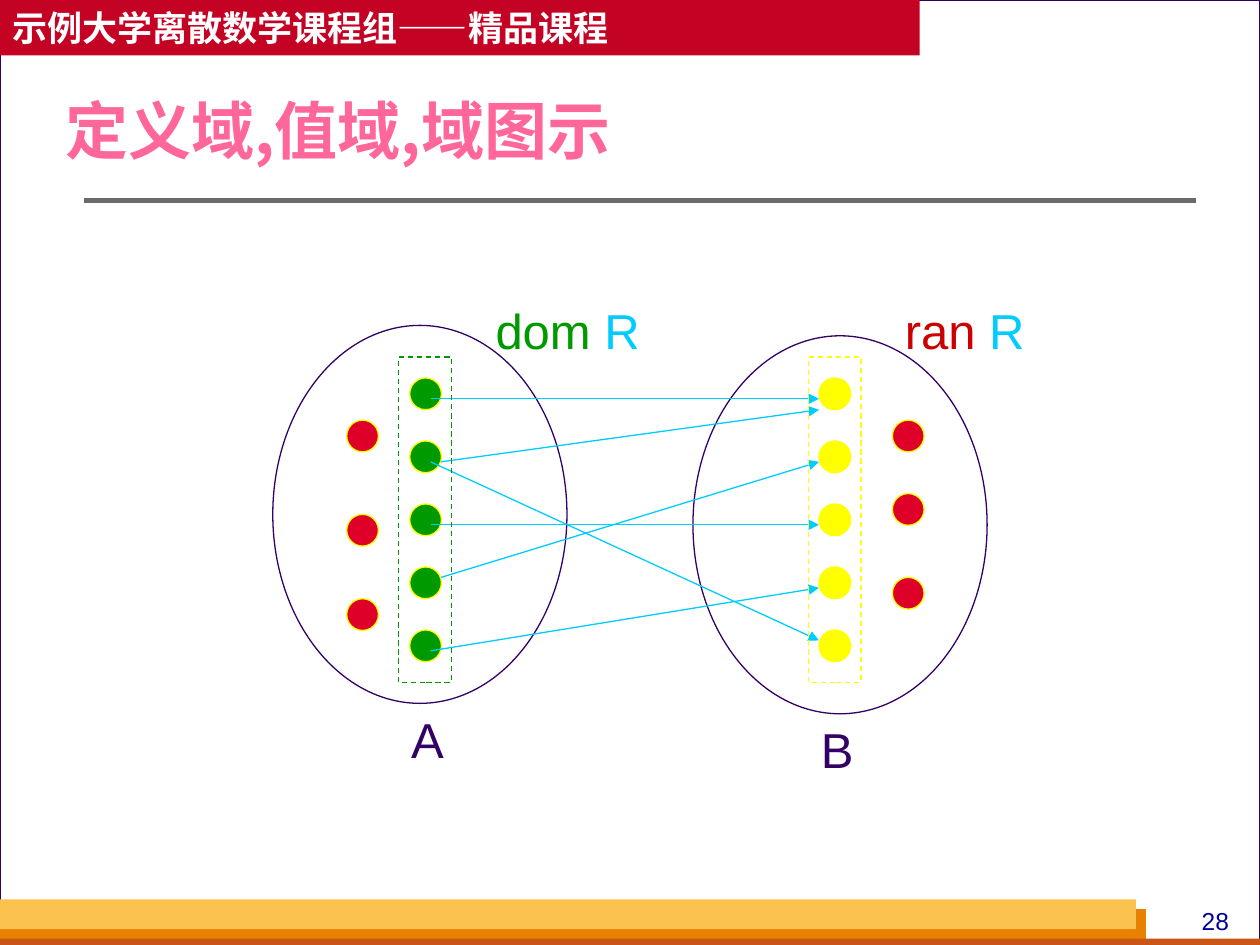
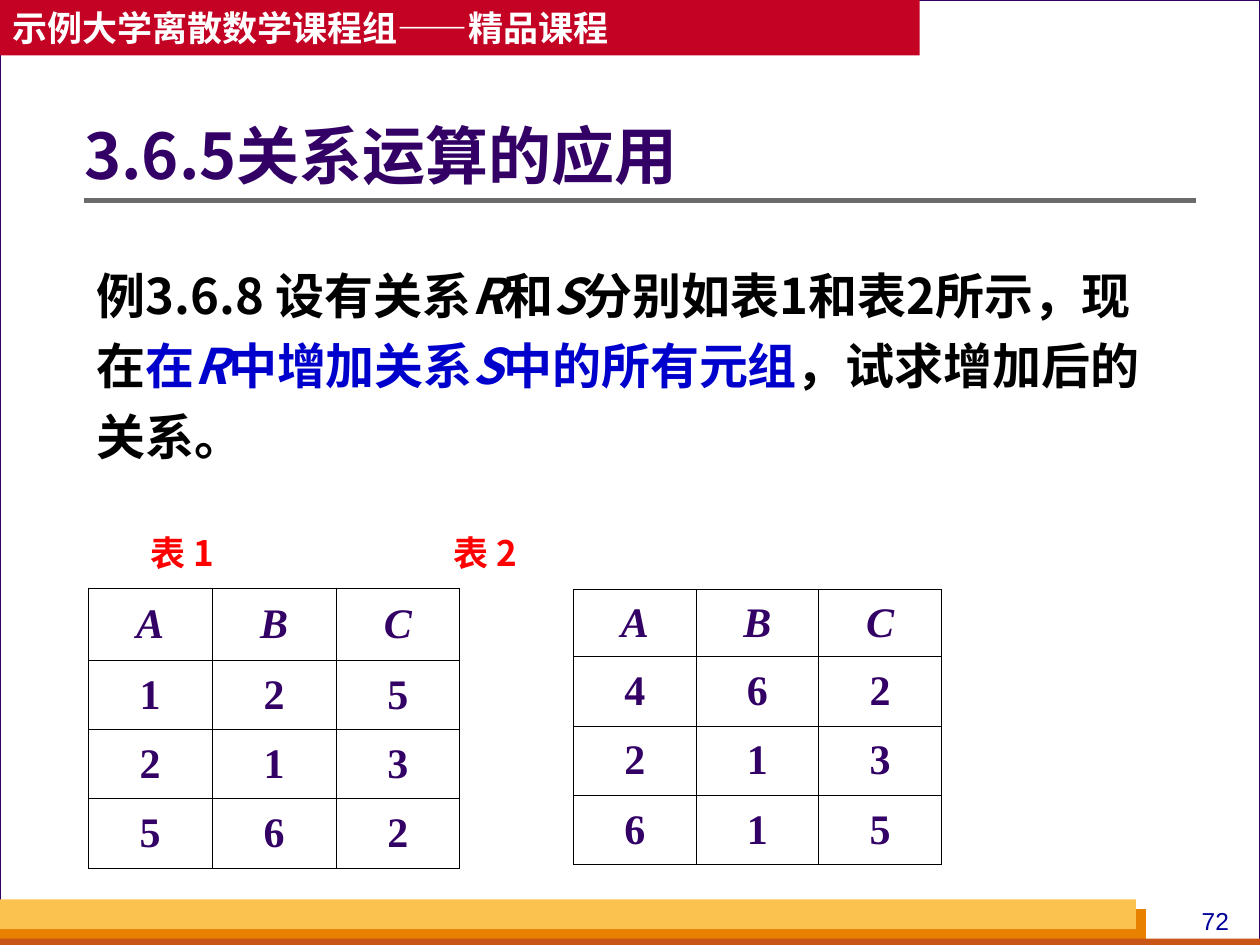
import dataclasses

import lxml.etree
import pptx
import pptx.dml.color
import pptx.enum.dml
import pptx.enum.shapes
import pptx.enum.text
import pptx.oxml.ns
import pptx.util

Cm = pptx.util.Cm
Pt = pptx.util.Pt
ALIGN = pptx.enum.text.PP_ALIGN
ANCHOR = pptx.enum.text.MSO_ANCHOR
SHAPE = pptx.enum.shapes.MSO_SHAPE
qn = pptx.oxml.ns.qn


@dataclasses.dataclass(frozen=True)
class Theme:
    backdrop: str = "D8DADA"
    white: str = "FFFFFF"
    black: str = "000000"
    ink: str = "330066"
    banner: str = "C30224"
    gold: str = "FCC24F"
    orange: str = "E88000"
    rust: str = "C95616"
    rule: str = "6B6B6B"
    page_number: str = "000099"
    pink: str = "FF6699"
    green: str = "009900"
    yellow: str = "FFFF00"
    red: str = "DF0029"
    range_red: str = "CC0000"
    cyan: str = "00CCFF"
    blue: str = "0000CC"
    caption: str = "FF0000"
    chinese_font: str = "Noto Sans CJK SC"
    label_font: str = "Arial"
    table_font: str = "Times New Roman"
    title_size: int = 36
    body_size: int = 28
    cell_size: int = 24
    small_size: int = 20
    number_size: int = 14
    thin: float = 0.75
    thick: float = 3
    border: float = 0.45


THEME = Theme()


def rgb(color):
    return pptx.dml.color.RGBColor.from_string(color)


class Deck:
    def __init__(self, theme):
        self.theme = theme
        self.presentation = pptx.Presentation()
        self.presentation.slide_width = Cm(25.4)
        self.presentation.slide_height = Cm(19.05)
        self.slide = None

    def start_slide(self, layout_index, number):
        theme = self.theme
        layout = self.presentation.slide_layouts[layout_index]
        self.slide = self.presentation.slides.add_slide(layout)
        background = self.slide.background.fill
        background.solid()
        background.fore_color.rgb = rgb(theme.backdrop)
        self.shape(SHAPE.RECTANGLE, (0, 0, 25.4, 19.05), theme.white, theme.ink)
        self.shape(SHAPE.RECTANGLE, (0, 18.33, 23.1, 0.72), theme.orange)
        self.shape(SHAPE.RECTANGLE, (0, 18.92, 25.4, 0.13), theme.rust)
        self.shape(SHAPE.RECTANGLE, (0, 18.13, 22.9, 0.6), theme.gold)
        self.label((23.7, 18.13, 1.6, 0.86), [(number, theme.page_number)],
                   theme.number_size, theme.label_font, align=ALIGN.CENTER)
        self.line((1.7, 4.04), (24.1, 4.04), theme.rule, theme.thick)
        banner = self.shape(SHAPE.RECTANGLE, (0, 0, 18.54, 1.12), theme.banner)
        banner.text_frame.vertical_anchor = ANCHOR.MIDDLE
        self.add_runs(banner.text_frame, [("示例大学离散数学课程组——精品课程", theme.white)],
                      theme.small_size, theme.chinese_font, bold=True)

    def add_runs(self, text_frame, parts, size, font, bold=False, align=ALIGN.LEFT):
        paragraph = text_frame.paragraphs[0]
        paragraph.alignment = align
        for text, color, *italic in parts:
            run = paragraph.add_run()
            run.text = text
            run.font.size = Pt(size)
            run.font.bold = bold
            run.font.italic = bool(italic)
            run.font.color.rgb = rgb(color)
            run.font.name = font
            latin = run.font._element.find(qn("a:latin"))
            east_asian = lxml.etree.Element(qn("a:ea"), typeface=font)
            latin.addnext(east_asian)
        return paragraph

    def shape(self, kind, box, fill=None, outline=None, dashed=False):
        shape = self.slide.shapes.add_shape(kind, *map(Cm, box))
        shape.shadow.inherit = False
        if fill:
            shape.fill.solid()
            shape.fill.fore_color.rgb = rgb(fill)
        else:
            shape.fill.background()
        if outline:
            shape.line.color.rgb = rgb(outline)
            shape.line.width = Pt(self.theme.thin)
        else:
            shape.line.fill.background()
        if dashed:
            shape.line.dash_style = pptx.enum.dml.MSO_LINE.DASH
        return shape

    def line(self, start, end, color, width, arrow=False):
        connector = self.slide.shapes.add_connector(
            pptx.enum.shapes.MSO_CONNECTOR.STRAIGHT, *map(Cm, start + end))
        connector.line.color.rgb = rgb(color)
        connector.line.width = Pt(width)
        properties = connector.element.spPr
        if arrow:
            lxml.etree.SubElement(properties.find(qn("a:ln")), qn("a:tailEnd"), type="triangle")
        lxml.etree.SubElement(properties, qn("a:effectLst"))

    def label(self, box, parts, size, font, **style):
        text_box = self.slide.shapes.add_textbox(*map(Cm, box))
        text_box.text_frame.word_wrap = True
        return self.add_runs(text_box.text_frame, parts, size, font, **style)

    def place(self, placeholder, box, parts, size):
        placeholder.left, placeholder.top, placeholder.width, placeholder.height = map(Cm, box)
        placeholder.element.getparent().append(placeholder.element)
        placeholder.text_frame.word_wrap = True
        placeholder.text_frame.auto_size = pptx.enum.text.MSO_AUTO_SIZE.NONE
        return self.add_runs(placeholder.text_frame, parts, size,
                             self.theme.chinese_font, bold=True)

    def title(self, box, text, color):
        title = self.slide.shapes.title
        paragraph = self.place(title, box, [(text, color)], self.theme.title_size)
        paragraph.line_spacing = 0.9
        title.text_frame.margin_left = 0
        title.text_frame.vertical_anchor = ANCHOR.MIDDLE

    def body(self, box, parts):
        paragraph = self.place(self.slide.placeholders[1], box, parts, self.theme.body_size)
        paragraph.line_spacing = 1.2
        paragraph.space_before = Pt(7)
        properties = paragraph._p.get_or_add_pPr()
        properties.set("marL", "0")
        properties.set("indent", "0")
        lxml.etree.SubElement(properties, qn("a:buNone"))

    def table(self, box, header_height, rows):
        left, top, width, height = box
        frame = self.slide.shapes.add_table(len(rows), len(rows[0]), *map(Cm, box))
        table = frame.table
        table.first_row = table.horz_banding = False
        row_height = (height - header_height) / (len(rows) - 1)
        for column in table.columns:
            column.width = Cm(width / len(rows[0]))
        for row_index, values in enumerate(rows):
            table.rows[row_index].height = Cm(row_height if row_index else header_height)
            for column_index, value in enumerate(values):
                self.cell(table.cell(row_index, column_index), value, row_index == 0)

    def cell(self, cell, value, header):
        theme = self.theme
        cell.vertical_anchor = ANCHOR.MIDDLE
        cell.fill.background()
        part = (value, theme.ink, "italic") if header else (value, theme.ink)
        self.add_runs(cell.text_frame, [part], theme.cell_size, theme.table_font,
                      bold=True, align=ALIGN.CENTER)
        properties = cell._tc.get_or_add_tcPr()
        for index, side in enumerate(("lnL", "lnR", "lnT", "lnB")):
            border = lxml.etree.Element(qn("a:" + side), w=str(Pt(theme.border)))
            fill = lxml.etree.SubElement(border, qn("a:solidFill"))
            lxml.etree.SubElement(fill, qn("a:srgbClr"), val=theme.black)
            properties.insert(index, border)


def build_domain_slide(deck):
    theme = deck.theme
    deck.start_slide(5, "28")
    deck.title((1.32, 1.12, 21.6, 3.18), "定义域,值域,域图示", theme.pink)

    for left, top in ((5.5, 6.56), (13.97, 6.77)):
        deck.shape(SHAPE.OVAL, (left, top, 5.93, 7.62), outline=theme.ink)

    related_tops = [7.62 + 1.27 * index for index in range(5)]
    dot_columns = (
        (8.26, related_tops, theme.green),
        (6.99, (8.47, 10.37, 12.07), theme.red),
        (16.51, related_tops, theme.yellow),
        (17.99, (8.47, 9.95, 11.64), theme.red),
    )
    for left, tops, color in dot_columns:
        for top in tops:
            deck.shape(SHAPE.OVAL, (left, top, 0.64, 0.64), color, theme.yellow)

    arrows = ((8.68, 8.04, 8.04), (8.68, 10.58, 10.58), (8.68, 9.31, 12.91),
              (8.68, 13.12, 11.85), (8.89, 9.31, 8.26), (8.89, 11.64, 9.31))
    for start_left, start_top, end_top in arrows:
        deck.line((start_left, start_top), (16.51, end_top), theme.cyan, theme.thin, arrow=True)

    for left, color in ((8.04, theme.green), (16.3, theme.yellow)):
        deck.shape(SHAPE.RECTANGLE, (left, 7.2, 1.06, 6.56), outline=color, dashed=True)

    labels = (
        ((8.04, 14.18, 1.48, 1.45), [("A", theme.ink)]),
        ((16.3, 14.39, 1.48, 1.45), [("B", theme.ink)]),
        ((9.74, 5.93, 3.81, 1.45), [("dom ", theme.green), ("R", theme.cyan)]),
        ((17.99, 5.93, 3.81, 1.45), [("ran ", theme.range_red), ("R", theme.cyan)]),
    )
    for box, parts in labels:
        deck.label(box, parts, theme.body_size, theme.label_font)


def build_application_slide(deck):
    theme = deck.theme
    deck.start_slide(1, "72")
    deck.title((1.7, 1.93, 22.4, 2.57), "3.6.5关系运算的应用", theme.ink)
    deck.body((1.7, 4.98, 22.1, 12.75), [
        ("例3.6.8 设有关系", theme.black),
        ("R", theme.black, "italic"),
        ("和", theme.black),
        ("S", theme.black, "italic"),
        ("分别如表1和表2所示，现在", theme.black),
        ("在", theme.blue),
        ("R", theme.blue, "italic"),
        ("中增加关系", theme.blue),
        ("S", theme.blue, "italic"),
        ("中的所有元组", theme.blue),
        ("，试求增加后的关系。", theme.black),
    ])
    deck.table((11.56, 11.89, 7.42, 5.54), 1.35, ("ABC", "462", "213", "615"))
    deck.table((1.78, 11.86, 7.49, 5.64), 1.45, ("ABC", "125", "213", "562"))
    captions = deck.label((2.79, 10.59, 15.62, 0.81), [("表 1\t表 2", theme.caption)],
                          theme.small_size, theme.chinese_font, bold=True)
    tab_list = lxml.etree.SubElement(captions._p.get_or_add_pPr(), qn("a:tabLst"))
    lxml.etree.SubElement(tab_list, qn("a:tab"), pos=str(Cm(6.1)), algn="l")


def main():
    deck = Deck(THEME)
    build_domain_slide(deck)
    build_application_slide(deck)
    deck.presentation.save("out.pptx")


if __name__ == "__main__":
    main()
